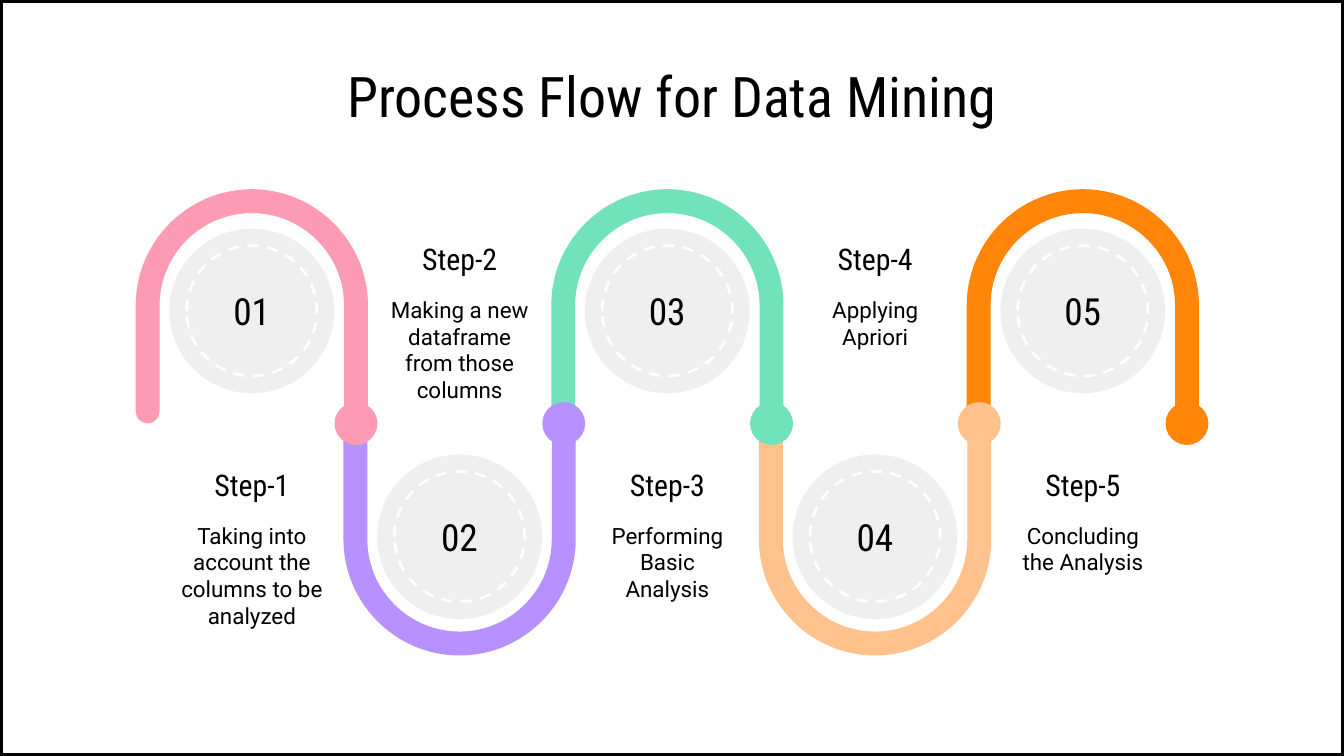
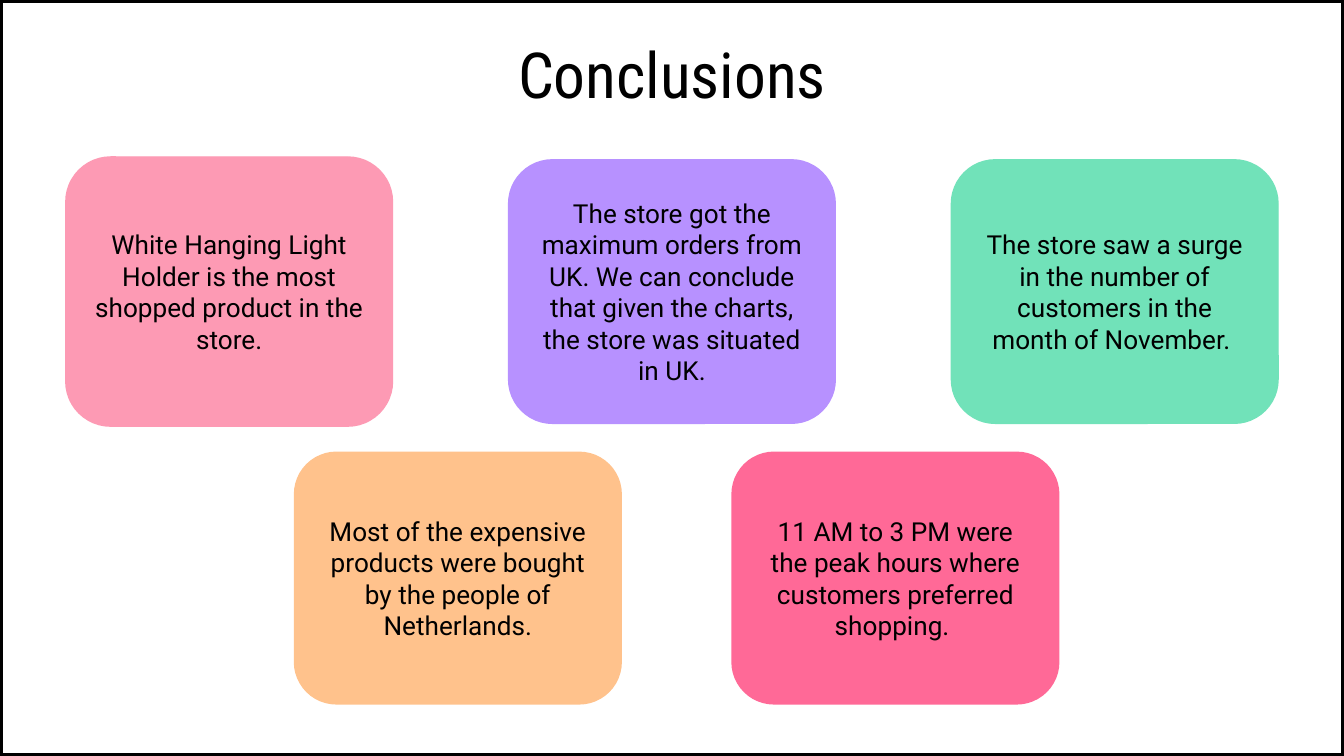
"""Build a process flow slide and a conclusions slide."""
from pptx import Presentation
from pptx.dml.color import RGBColor
from pptx.enum.dml import MSO_LINE
from pptx.enum.shapes import MSO_SHAPE
from pptx.enum.text import MSO_ANCHOR, PP_ALIGN
from pptx.oxml.ns import qn
from pptx.util import Pt

WIDE, HIGH = 720, 405
HEAD, BODY = "Roboto Condensed", "Roboto"
HUES = {
    "ink": "000000", "white": "FFFFFF", "grey": "EFEFEF",
    "pink": "FD9AB4", "violet": "B791FF", "green": "71E2B9",
    "peach": "FFC28C", "orange": "FF8609", "rose": "FF6997",
}
STEPS = [
    ("pink", "Taking into account the columns to be analyzed"),
    ("violet", "Making a new dataframe from those columns"),
    ("green", "Performing Basic Analysis"),
    ("peach", "Applying Apriori"),
    ("orange", "Concluding the Analysis"),
]
CARDS = [
    ("pink", 35.3, 84.1, 144.2,
     "White Hanging Light Holder is the most shopped product in the store."),
    ("violet", 272.5, 85.6, 141.2,
     "The store got the maximum orders from UK. We can conclude that given "
     "the charts, the store was situated in UK."),
    ("peach", 157.8, 242.3, 134.8,
     "Most of the expensive products were bought by the people of Netherlands."),
    ("rose", 392.2, 242.3, 134.8,
     "11 AM to 3 PM were the peak hours where customers preferred shopping. "),
    ("green", 509.7, 85.6, 141.2,
     "The store saw a surge in the number of customers in the month of November. "),
]
RISE, MID, OUT, TUBE = 101.4, 226.3, 62.2, 12.8
FIRST, PITCH = 134.9, 111.3


def hue(name):
    """Return the named colour."""
    return RGBColor.from_string(HUES[name])


def paint(shape, fill=None, line=None, width=1.0):
    """Set fill and outline, and drop the shadow."""
    shape.shadow.inherit = False
    if fill:
        shape.fill.solid()
        shape.fill.fore_color.rgb = hue(fill)
    else:
        shape.fill.background()
    if line:
        shape.line.color.rgb = hue(line)
        shape.line.width = Pt(width)
    else:
        shape.line.fill.background()
    return shape


def write(shape, text, size, font, anchor=MSO_ANCHOR.MIDDLE):
    """Put centred text into a shape."""
    frame = shape.text_frame
    frame.text = text
    frame.word_wrap = True
    frame.vertical_anchor = anchor
    frame.margin_left = frame.margin_right = Pt(7.2)
    frame.margin_top = frame.margin_bottom = Pt(7.2)
    para = frame.paragraphs[0]
    para.alignment = PP_ALIGN.CENTER
    for run in para.runs:
        run.font.size = Pt(size)
        run.font.name = font
        run.font.color.rgb = hue("ink")


def place(slide, kind, *box):
    """Add a preset shape in a box given in points."""
    return slide.shapes.add_shape(kind, *map(Pt, box))


def label(slide, box, *style):
    """Add a text box in a box given in points."""
    write(slide.shapes.add_textbox(*map(Pt, box)), *style)


def disc(slide, x, y, size):
    """Add a circle about a centre."""
    return place(slide, MSO_SHAPE.OVAL, x - size / 2, y - size / 2, size, size)


def curve(x, y, wide, high):
    """Return the two Bezier quarters of a half circle about a centre."""
    pull = 0.55
    peak = y - high
    return [
        [(x - wide, y - pull * high), (x - pull * wide, peak), (x, peak)],
        [(x + pull * wide, peak), (x + wide, y - pull * high), (x + wide, y)],
    ]


def trace(slide, start, parts):
    """Draw a closed outline of lines (one point) and curves (three points)."""
    pen = slide.shapes.build_freeform(*map(Pt, start))
    pen.add_line_segments([(Pt(x), Pt(y)) for part in parts for x, y in part])
    shape = pen.convert_to_shape()
    lines = iter(list(shape.element.iter(qn("a:lnTo"))))
    for part in parts:
        first, *rest = [next(lines) for _ in part]
        if rest:
            first.tag = qn("a:cubicBezTo")
        for line in rest:
            first.append(line[0])
            line.getparent().remove(line)
    return shape


def arch(slide, x, shade, down=False, cap=False):
    """Draw a tube that bends up or down about its centre line."""
    bend, inner, half = RISE + OUT, OUT - TUBE, TUBE / 2
    foot = [[(x - inner, MID)]]
    if cap:
        base = MID + 0.5 - half
        foot = [[(x - OUT, base)]] + curve(x - OUT + half, base, half, -half)
    parts = (foot + [[(x - inner, bend)]] + curve(x, bend, inner, inner)
             + [[(x + inner, MID)], [(x + OUT, MID)], [(x + OUT, bend)]]
             + curve(x, bend, -OUT, OUT))
    start = (x - OUT, bend)
    if not cap:
        start = (x - OUT, MID)
    if down:
        start = (start[0], 2 * MID - start[1])
        parts = [[(px, 2 * MID - py) for px, py in part] for part in parts]
    paint(trace(slide, start, parts), shade)


def step(slide, x, rank, text, down):
    """Add a numbered disc with its heading and note."""
    y, top = (287.6, 125.6) if down else (166.6, 246.6)
    paint(disc(slide, x, y, 88.2), "grey")
    ring = paint(disc(slide, x, y - 0.1, 69.8), None, "white", 1.5)
    ring.line.dash_style = MSO_LINE.DASH
    write(ring, f"{rank:02}", 20, HEAD)
    left, width = x - 45.6, 91.4
    label(slide, (left, top, width, 26), f"Step-{rank}", 16, HEAD)
    label(slide, (left, top + 25.7, width, 56), text, 12, BODY, MSO_ANCHOR.TOP)


def card(slide, shade, left, top, height, text):
    """Add a rounded card with its finding."""
    shape = place(slide, MSO_SHAPE.ROUNDED_RECTANGLE, left, top, 175, height)
    paint(shape, shade, shade, 0.75)
    write(shape, text, 14, BODY)


def title(slide, text, top, size):
    """Add the slide title."""
    label(slide, (35.6, top, 648.8, 37.4), text, size, HEAD)


def frame(slide):
    """Outline the whole slide."""
    paint(place(slide, MSO_SHAPE.RECTANGLE, 0, 0, WIDE, HIGH), None, "ink", 3)


def flow(slide):
    """Build the process flow slide."""
    spots = [FIRST + PITCH * i for i in range(len(STEPS))]
    for i, (shade, text) in enumerate(STEPS):
        arch(slide, spots[i], shade, down=i % 2 == 1, cap=i == 0)
    for x, (shade, text) in zip(spots, STEPS):
        paint(disc(slide, x + OUT - TUBE / 2, MID + 0.6, 23), shade)
    title(slide, "Process Flow for Data Mining", 32.4, 30)
    for i, (shade, text) in enumerate(STEPS):
        step(slide, spots[i], i + 1, text, i % 2 == 1)
    frame(slide)


def close(slide):
    """Build the conclusions slide."""
    title(slide, "Conclusions", 20.4, 34)
    for item in CARDS:
        card(slide, *item)
    frame(slide)


def main():
    """Build and save the deck."""
    deck = Presentation()
    deck.slide_width, deck.slide_height = Pt(WIDE), Pt(HIGH)
    for build in (flow, close):
        build(deck.slides.add_slide(deck.slide_layouts[6]))
    deck.save("out.pptx")


if __name__ == "__main__":
    main()
